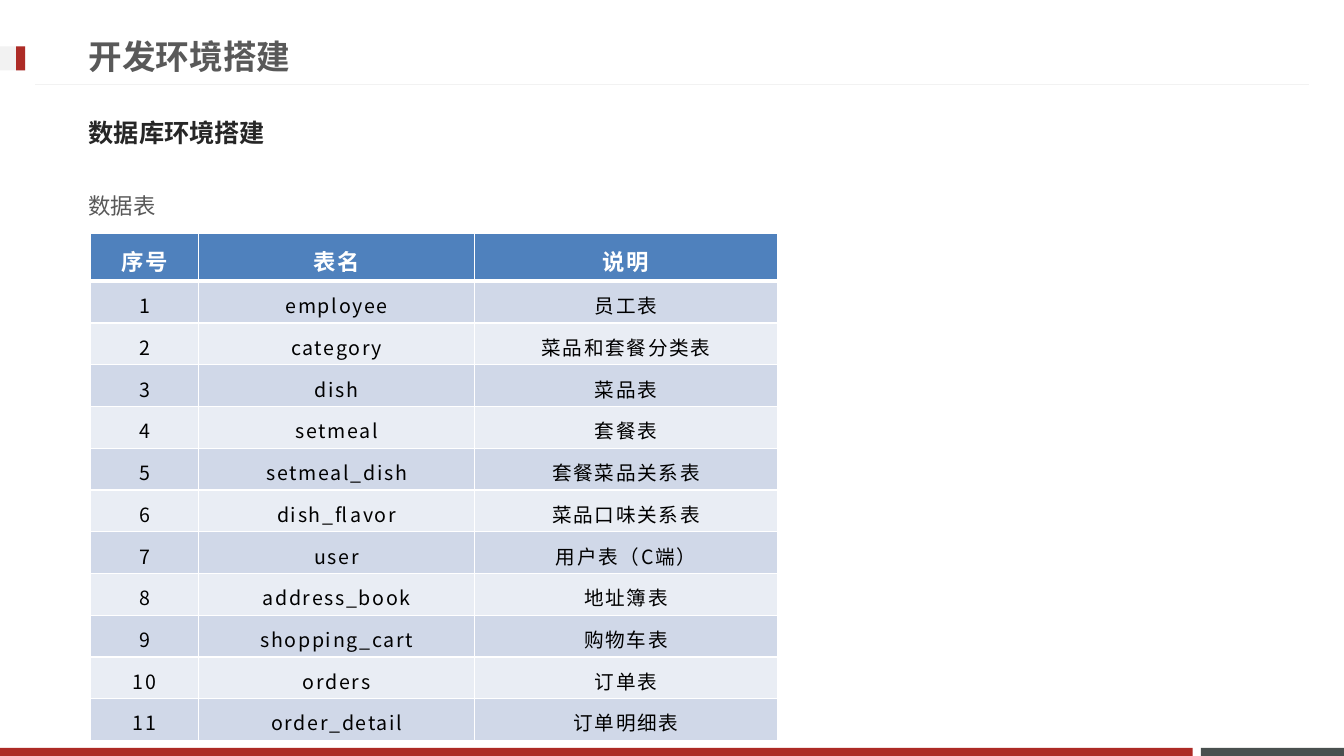
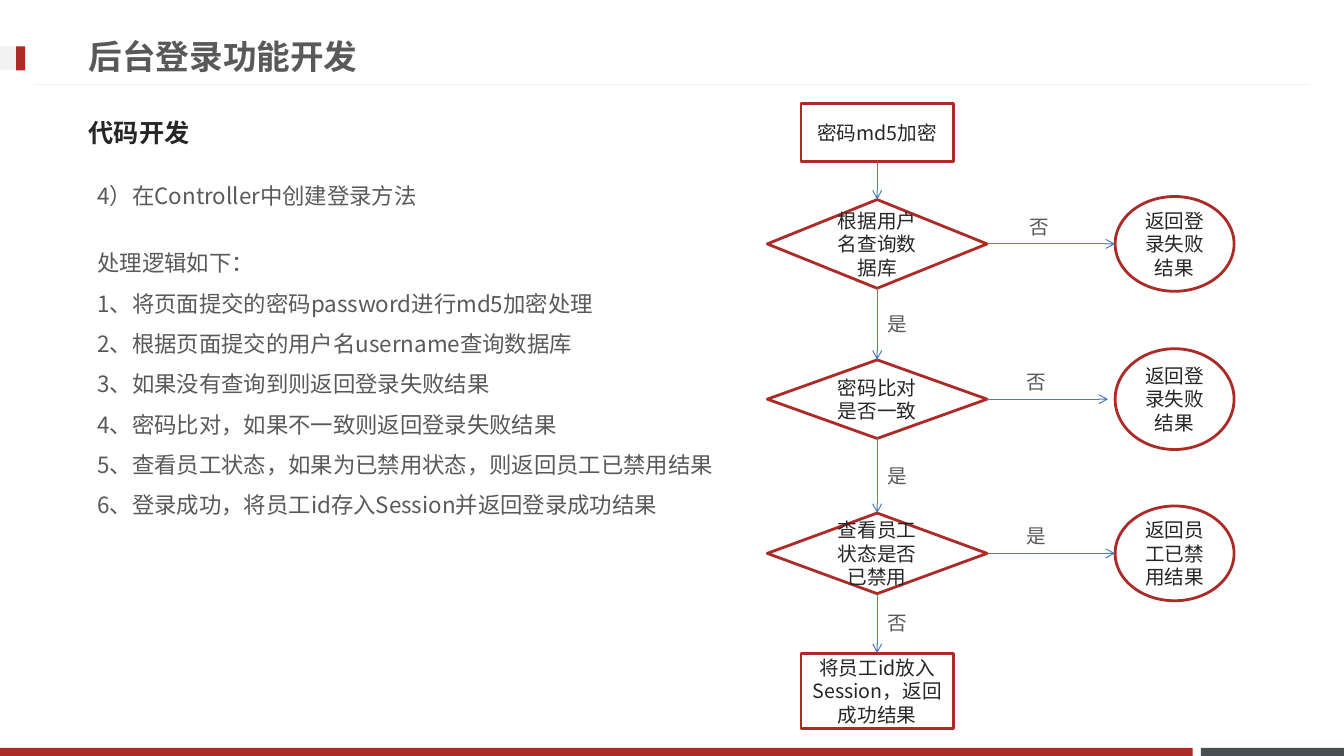
from dataclasses import dataclass

from lxml import etree
from pptx import Presentation
from pptx.dml.color import RGBColor
from pptx.enum import shapes, text
from pptx.oxml import ns
from pptx.util import Inches, Pt

KIND = shapes.MSO_SHAPE
MID = text.MSO_ANCHOR.MIDDLE
MIDDLE = text.PP_ALIGN.CENTER


@dataclass(frozen=True)
class Theme:
    red: str = "AD2B26"
    slate: str = "49504F"
    pale: str = "F2F2F2"
    grey: str = "595959"
    ink: str = "262626"
    black: str = "000000"
    white: str = "FFFFFF"
    head: str = "4F81BD"
    odd: str = "D0D8E8"
    even: str = "E9EDF4"
    arrow: str = "4B7EBC"
    sans: str = "Noto Sans CJK JP"
    bold: str = "Noto Sans CJK SC"
    latin: str = "Calibri"
    title: int = 24
    sub: int = 18
    body: int = 16
    small: int = 14
    lead: float = 1.2


T = Theme()

TABLES = [
    ("employee", "员工表"),
    ("category", "菜品和套餐分类表"),
    ("dish", "菜品表"),
    ("setmeal", "套餐表"),
    ("setmeal_dish", "套餐菜品关系表"),
    ("dish_flavor", "菜品口味关系表"),
    ("user", "用户表（C端）"),
    ("address_book", "地址簿表"),
    ("shopping_cart", "购物车表"),
    ("orders", "订单表"),
    ("order_detail", "订单明细表"),
]

STEPS = [
    "处理逻辑如下：",
    "1、将页面提交的密码password进行md5加密处理",
    "2、根据页面提交的用户名username查询数据库",
    "3、如果没有查询到则返回登录失败结果",
    "4、密码比对，如果不一致则返回登录失败结果",
    "5、查看员工状态，如果为已禁用状态，则返回员工已禁用结果",
    "6、登录成功，将员工id存入Session并返回登录成功结果",
]

CHECKS = [
    (0.95, 0.88, "根据用户名查询数据库", "否", "返回登录失败结果", 0.94, 3.45, 2.5),
    (2.54, 0.78, "密码比对是否一致", "否", "返回登录失败结果", 1, 3.38, 2.47),
    (4.06, 0.8, "查看员工状态是否已禁用", "是", "返回员工已禁用结果", 0.94, 3.45, 2.47),
]


def rgb(code):
    return RGBColor.from_string(code)


def sub(node, tag, **attrs):
    return etree.SubElement(node, ns.qn(tag), attrs)


def write(frame, words, size=T.body, color=T.grey, font=T.sans, east=None,
          bold=False, align=None, line=None, before=None, track=None, more=False):
    para = frame.add_paragraph() if more else frame.paragraphs[0]
    para.alignment = align
    if line:
        para.line_spacing = line
    if before is not None:
        para.space_before = Pt(before)
    run = para.add_run()
    run.text = words
    run.font.size = Pt(size)
    run.font.bold = bold
    run.font.color.rgb = rgb(color)
    run.font.name = font
    props = run.font._element
    sub(props, "a:ea", typeface=east or font)
    if track:
        props.set("spc", str(int(track * 100)))
    return para


def block(slide, kind, x, y, w, h, fill=None, line=None):
    shape = slide.shapes.add_shape(kind, Inches(x), Inches(y), Inches(w), Inches(h))
    shape.shadow.inherit = False
    if fill:
        shape.fill.solid()
        shape.fill.fore_color.rgb = rgb(fill)
    else:
        shape.fill.background()
    if line:
        shape.line.color.rgb = rgb(line)
        shape.line.width = Pt(2)
    else:
        shape.line.fill.background()
    return shape


def label(slide, words, x, y, w, h, size=T.body):
    box = slide.shapes.add_textbox(Inches(x), Inches(y), Inches(w), Inches(h))
    box.text_frame.word_wrap = True
    write(box.text_frame, words, size=size, line=Pt(size * T.lead))
    return box.text_frame


def wire(slide, start, end, color):
    spots = [Inches(v) for v in (*start, *end)]
    rule = slide.shapes.add_connector(shapes.MSO_CONNECTOR.STRAIGHT, *spots)
    rule.line.color.rgb = rgb(color)
    rule.line.width = Pt(0.75)
    sub(rule._element.spPr, "a:effectLst")
    return rule


def arrow(slide, start, end, tail=None, tip=None):
    link = wire(slide, start, end, T.arrow)
    sub(link.line._get_or_add_ln(), "a:tailEnd", type="arrow")
    if tail:
        link.begin_connect(*tail)
    if tip:
        link.end_connect(*tip)


def place(holder, x, y, w, h):
    holder.left, holder.top = Inches(x), Inches(y)
    holder.width, holder.height = Inches(w), Inches(h)


def brand(deck, layout):
    draft = deck.slides.add_slide(layout)
    parts = [
        block(draft, KIND.RECTANGLE, 11.91, 7.42, 1.42, 0.08, T.slate),
        block(draft, KIND.RECTANGLE, 0, 7.42, 11.83, 0.08, T.red),
        wire(draft, (12.98, 0.84), (0.35, 0.84), T.pale),
        block(draft, KIND.RECTANGLE, 0, 0.46, 0.25, 0.24, T.pale),
        block(draft, KIND.RECTANGLE, 0.16, 0.46, 0.09, 0.24, T.red),
    ]
    for num, part in enumerate(parts, 100):
        part._element.xpath(".//p:cNvPr")[0].set("id", str(num))
        layout.shapes._spTree.append(part._element)
    place(layout.placeholders[0], 0.78, 0.27, 9.59, 0.57)
    place(layout.placeholders[1], 0.78, 1.03, 11.76, 0.57)
    return draft


def heads(slide, title, topic):
    pairs = [(slide.shapes.title, title, T.title, T.grey),
             (slide.placeholders[1], topic, T.sub, T.ink)]
    for holder, words, size, color in pairs:
        frame = holder.text_frame
        frame.vertical_anchor = MID
        para = write(frame, words, size=size, color=color, bold=True,
                     align=text.PP_ALIGN.LEFT, before=0)
        props = para._p.get_or_add_pPr()
        props.set("marL", "0")
        props.set("indent", "0")
        sub(props, "a:buNone")


def edge(cell, side, width):
    line = sub(cell._tc.get_or_add_tcPr(), "a:ln" + side, w=str(Pt(width)))
    sub(sub(line, "a:solidFill"), "a:srgbClr", val=T.white)


def grid(slide, x, y, w, h):
    rows = [("序号", "表名", "说明")]
    rows += [(str(num), *row) for num, row in enumerate(TABLES, 1)]
    top = 0.47
    table = slide.shapes.add_table(len(rows), 3, Inches(x), Inches(y),
                                   Inches(w), Inches(h)).table
    for col, wide in zip(table.columns, (1.07, 2.74, w - 3.81)):
        col.width = Inches(wide)
    for r, row in enumerate(rows):
        table.rows[r].height = Inches(top if r == 0 else (h - top) / len(TABLES))
        fill = T.head if r == 0 else (T.even, T.odd)[r % 2]
        style = dict(size=T.small, color=T.black)
        if r == 0:
            style = dict(size=T.body, color=T.white, font=T.bold, bold=True)
        for c, words in enumerate(row):
            cell = table.cell(r, c)
            cell.vertical_anchor = MID
            cell.margin_left = cell.margin_right = Inches(0.19)
            cell.margin_top = cell.margin_bottom = Inches(0.01)
            for side in "LRTB":
                thick = (r, side) in ((0, "B"), (1, "T"))
                edge(cell, side, 3 if thick else 1)
            cell.fill.solid()
            cell.fill.fore_color.rgb = rgb(fill)
            write(cell.text_frame, words, align=MIDDLE, line=1.2, track=1.2, **style)


def node(slide, kind, words, x, y, w, h, font=T.latin):
    shape = block(slide, kind, x - w / 2, y, w, h, line=T.red)
    shape.text_frame.word_wrap = True
    shape.text_frame.vertical_anchor = MID
    write(shape.text_frame, words, size=T.small, color=T.ink, font=font,
          east=T.sans, align=MIDDLE, line=Pt(T.small * T.lead))
    return shape


def flow(slide, x, y):
    mid, out, tag = x + 1.09, x + 4.04, (0.63, 0.34)
    last = node(slide, KIND.RECTANGLE, "密码md5加密", mid, y, 1.51, 0.57, T.sans)
    foot = y + 0.57

    def down(shape, top, word=None):
        arrow(slide, (mid, foot), (mid, top), (last, 2), (shape, 0))
        if word:
            label(slide, word, mid, (foot + top - tag[1]) / 2, *tag, size=T.small)

    word = None
    for top, high, ask, side, reply, tall, tip, spot in CHECKS:
        top += y
        axis = top + high / 2
        test = node(slide, KIND.FLOWCHART_DECISION, ask, mid, top, 2.18, high)
        node(slide, KIND.OVAL, reply, out, axis - tall / 2, 1.18, tall)
        arrow(slide, (mid + 1.09, axis), (x + tip, axis), (test, 3))
        label(slide, side, x + spot, axis - tag[1], *tag, size=T.small)
        down(test, top, word)
        last, foot = test, top + high
        word = "否" if side == "是" else "是"
    done = node(slide, KIND.RECTANGLE, "将员工id放入Session，返回成功结果",
                mid, y + 5.45, 1.51, 0.75, T.sans)
    down(done, y + 5.45, word)


def notes(slide, x, y, w, h):
    frame = label(slide, "4）在Controller中创建登录方法", x, y, w, h)
    gap = T.body * T.lead
    for num, step in enumerate(STEPS):
        write(frame, step, line=Pt(gap * 1.5), before=0 if num else gap, more=True)


def data(slide):
    heads(slide, "开发环境搭建", "数据库环境搭建")
    label(slide, "数据表", 0.78, 1.86, 10.11, 0.37)
    grid(slide, 0.9, 2.32, 6.81, 5.03)


def login(slide):
    heads(slide, "后台登录功能开发", "代码开发")
    notes(slide, 0.87, 1.76, 11, 3.47)
    flow(slide, 7.61, 1.03)


def main():
    deck = Presentation()
    deck.slide_width, deck.slide_height = Inches(13.33), Inches(7.5)
    layout = deck.slide_layouts[1]
    data(brand(deck, layout))
    login(deck.slides.add_slide(layout))
    deck.save("out.pptx")


if __name__ == "__main__":
    main()
